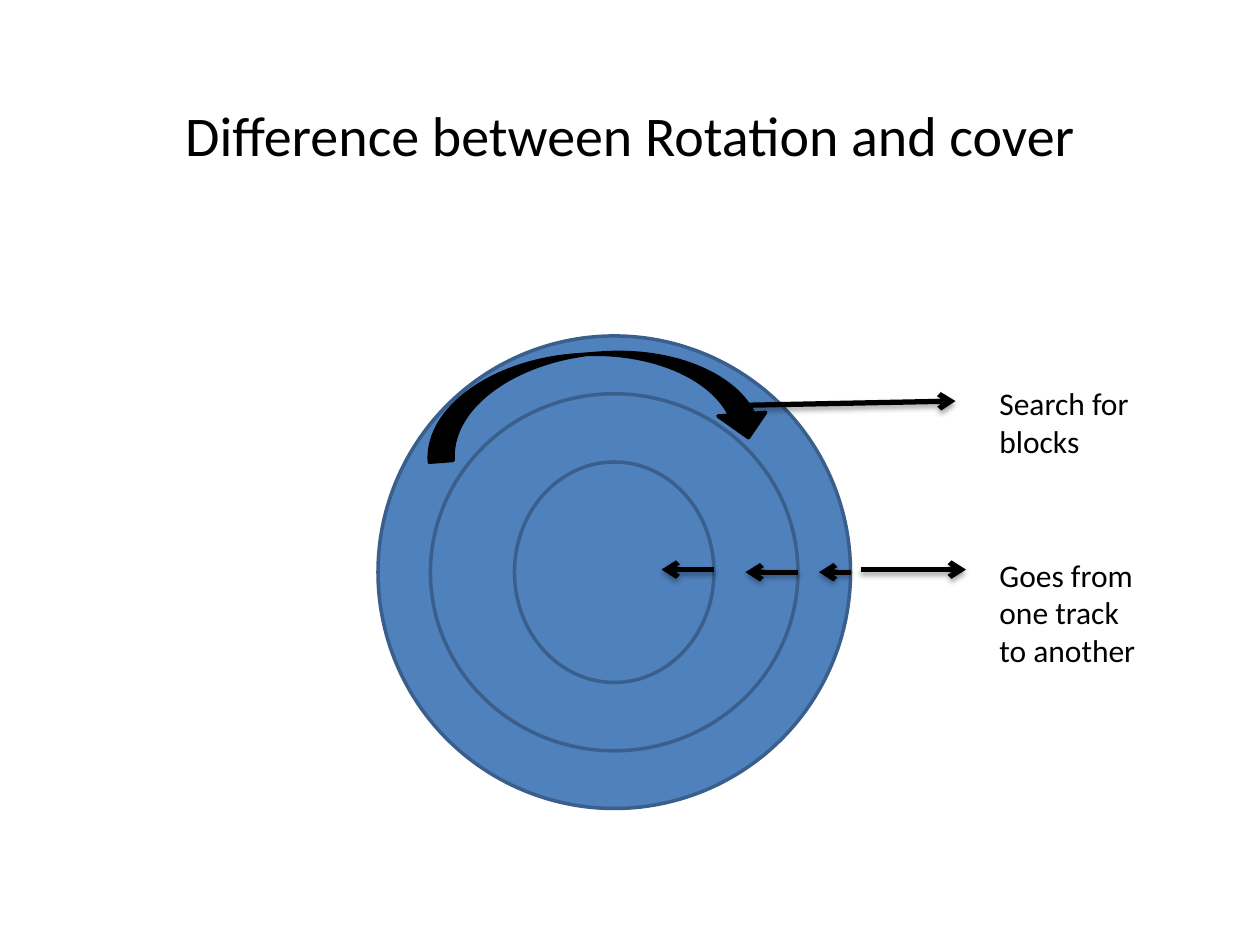
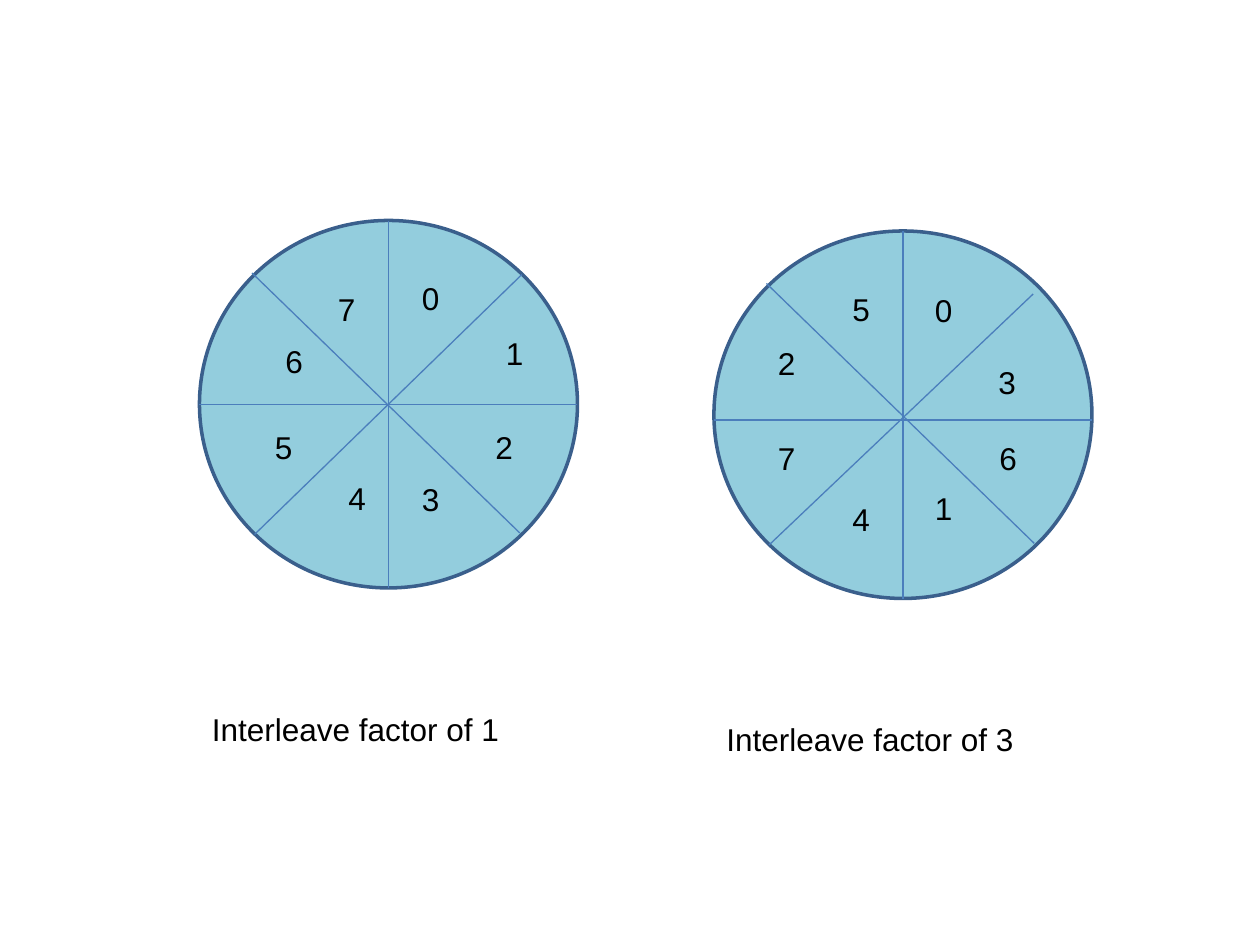
from dataclasses import dataclass

from lxml.etree import SubElement
from pptx import Presentation
from pptx.dml.color import RGBColor
from pptx.enum.shapes import MSO_CONNECTOR, MSO_SHAPE
from pptx.enum.text import MSO_AUTO_SIZE
from pptx.oxml import parse_xml
from pptx.oxml.ns import nsdecls, qn
from pptx.util import Inches, Pt


@dataclass(frozen=True)
class Theme:
    """Colours, fonts and sizes shared by the slides."""

    ink: str = "000000"
    disk: str = "4F81BD"
    wheel: str = "93CDDD"
    rim: str = "3A5F8C"
    spoke: str = "4B7EBC"
    heading_font: str = "Calibri"
    label_font: str = "Arial"
    title_size: int = 32
    text_size: int = 18
    rim_width: float = 2
    arrow_width: float = 3
    spoke_width: float = 0.75


SHADOW = (
    f'<a:outerShdw {nsdecls("a")} blurRad="39370" dist="22860" dir="5400000" '
    'rotWithShape="0"><a:srgbClr val="000000"><a:alpha val="35000"/>'
    "</a:srgbClr></a:outerShdw>"
)


class Sketch:
    """Draws on the current slide, on a grid of twelve units to the inch."""

    columns, rows = 120, 90

    def __init__(self, theme):
        """Open a deck with the theme."""
        self.theme = theme
        self.deck = Presentation()
        self.deck.slide_width, self.deck.slide_height = Inches(10), Inches(7.5)
        self.page = None

    def new_page(self):
        """Start a blank slide."""
        self.page = self.deck.slides.add_slide(self.deck.slide_layouts[6])

    def place(self, column, row):
        """Turn grid units into slide lengths."""
        return (
            round(column * self.deck.slide_width / self.columns),
            round(row * self.deck.slide_height / self.rows),
        )

    def shape(self, kind, at, size, fill, edge):
        """Add a filled and outlined preset shape."""
        shape = self.page.shapes.add_shape(kind, *self.place(*at), *self.place(*size))
        shape.shadow.inherit = False
        shape.fill.solid()
        shape.fill.fore_color.rgb = RGBColor.from_string(fill)
        shape.line.color.rgb = RGBColor.from_string(edge)
        shape.line.width = Pt(self.theme.rim_width)
        return shape

    def line(self, start, end, color, width):
        """Add a straight line without a shadow."""
        line = self.page.shapes.add_connector(
            MSO_CONNECTOR.STRAIGHT, *self.place(*start), *self.place(*end)
        )
        line.line.color.rgb = RGBColor.from_string(color)
        line.line.width = Pt(width)
        SubElement(line._element.spPr, qn("a:effectLst"))
        return line

    def arrow(self, start, end):
        """Add a thick arrow with an open head and a soft shadow."""
        line = self.line(start, end, self.theme.ink, self.theme.arrow_width)
        properties = line._element.spPr
        SubElement(properties.find(qn("a:ln")), qn("a:tailEnd"), type="arrow")
        properties.find(qn("a:effectLst")).append(parse_xml(SHADOW))

    def text(self, words, at, size, font, points=None, wrap=True):
        """Add a one-paragraph text box."""
        box = self.page.shapes.add_textbox(*self.place(*at), *self.place(*size))
        frame = box.text_frame
        frame.word_wrap = wrap
        frame.auto_size = MSO_AUTO_SIZE.SHAPE_TO_FIT_TEXT
        para = frame.paragraphs[0]
        para.text = words
        para.font.name = font
        para.font.size = Pt(points or self.theme.text_size)
        para.font.color.rgb = RGBColor.from_string(self.theme.ink)
        return box

    def title(self, words):
        """Add the heading, indented inside the body area."""
        box = self.text(
            words, (6, 9), (108, 71.4), self.theme.heading_font, self.theme.title_size
        )
        box.text_frame.auto_size = MSO_AUTO_SIZE.NONE
        box.text_frame.margin_left = Inches(0.97)

    def ring(self, center, size):
        """Add one disk track around the centre."""
        corner = [middle - length / 2 for middle, length in zip(center, size)]
        self.shape(
            MSO_SHAPE.FLOWCHART_CONNECTOR, corner, size, self.theme.disk, self.theme.rim
        )

    def wheel(self, at, factor, spots, hub_row, rising_end):
        """Add a disk of eight sectors numbered by the interleave factor."""
        left, top = at
        width, height = 36, 35

        def inside(point):
            """Shift a point from the wheel to the slide."""
            return left + point[0], top + point[1]

        self.shape(
            MSO_SHAPE.OVAL, at, (width, height), self.theme.wheel, self.theme.rim
        )
        spokes = (
            ((width / 2, 0), (width / 2, height)),
            ((0, hub_row), (width, hub_row)),
            ((5.25, 29.9), rising_end),
            ((5, 5), (30.5, 29.75)),
        )
        for start, end in spokes:
            self.line(
                inside(start), inside(end), self.theme.spoke, self.theme.spoke_width
            )
        for sector, spot in enumerate(spots):
            number = sector * factor % len(spots)
            self.text(
                str(number), inside(spot), (4.08, 4.8), self.theme.label_font, wrap=False
            )
        self.text(
            f"Interleave factor of {factor}",
            inside((0, 46)),
            (40, 4.8),
            self.theme.label_font,
        )


def draw_rotation(sketch):
    """Show rotation and movement between tracks."""
    sketch.new_page()
    sketch.title("Difference between Rotation and cover")
    center = (58.5, 54.5)
    tracks = (((45, 45), 3, 54.5), ((35, 34), 5, 54.5), ((19, 21), 5, 54.25))
    for size, _, _ in tracks:
        sketch.ring(center, size)
    for size, length, row in tracks:
        edge = center[0] + size[0] / 2
        sketch.arrow((edge, row), (edge - length, row))
    ink = sketch.theme.ink
    turn = sketch.shape(
        MSO_SHAPE.CURVED_LEFT_ARROW, (52.32, 21.84), (9.12, 32.76), ink, ink
    )
    turn.rotation = 265.6
    sketch.arrow((71, 38.6), (91, 38.2))
    sketch.arrow((82, 54.25), (92, 54.25))
    font = sketch.theme.heading_font
    sketch.text("Search for blocks", (94, 36), (18, 8.5), font)
    sketch.text("Goes from one track to another", (94, 52.33), (16, 15.7), font)


def draw_interleaving(sketch):
    """Compare the sector order of two interleave factors."""
    sketch.new_page()
    sketch.wheel(
        (19, 21),
        1,
        ((20, 5), (28, 10.2), (27, 19.2), (20, 24.1),
         (13, 24), (6, 19.2), (7, 11), (12, 6)),
        hub_row=17.5,
        rising_end=(30.7, 5.15),
    )
    sketch.wheel(
        (68, 22),
        3,
        ((19.85, 5.1), (25.9, 12), (26, 19.2), (19.85, 24),
         (12, 25), (4.9, 19.2), (4.9, 10.2), (12, 5)),
        hub_row=18,
        rising_end=(30.4, 6),
    )


def main():
    """Build and save the deck."""
    sketch = Sketch(Theme())
    draw_rotation(sketch)
    draw_interleaving(sketch)
    sketch.deck.save("out.pptx")


if __name__ == "__main__":
    main()
